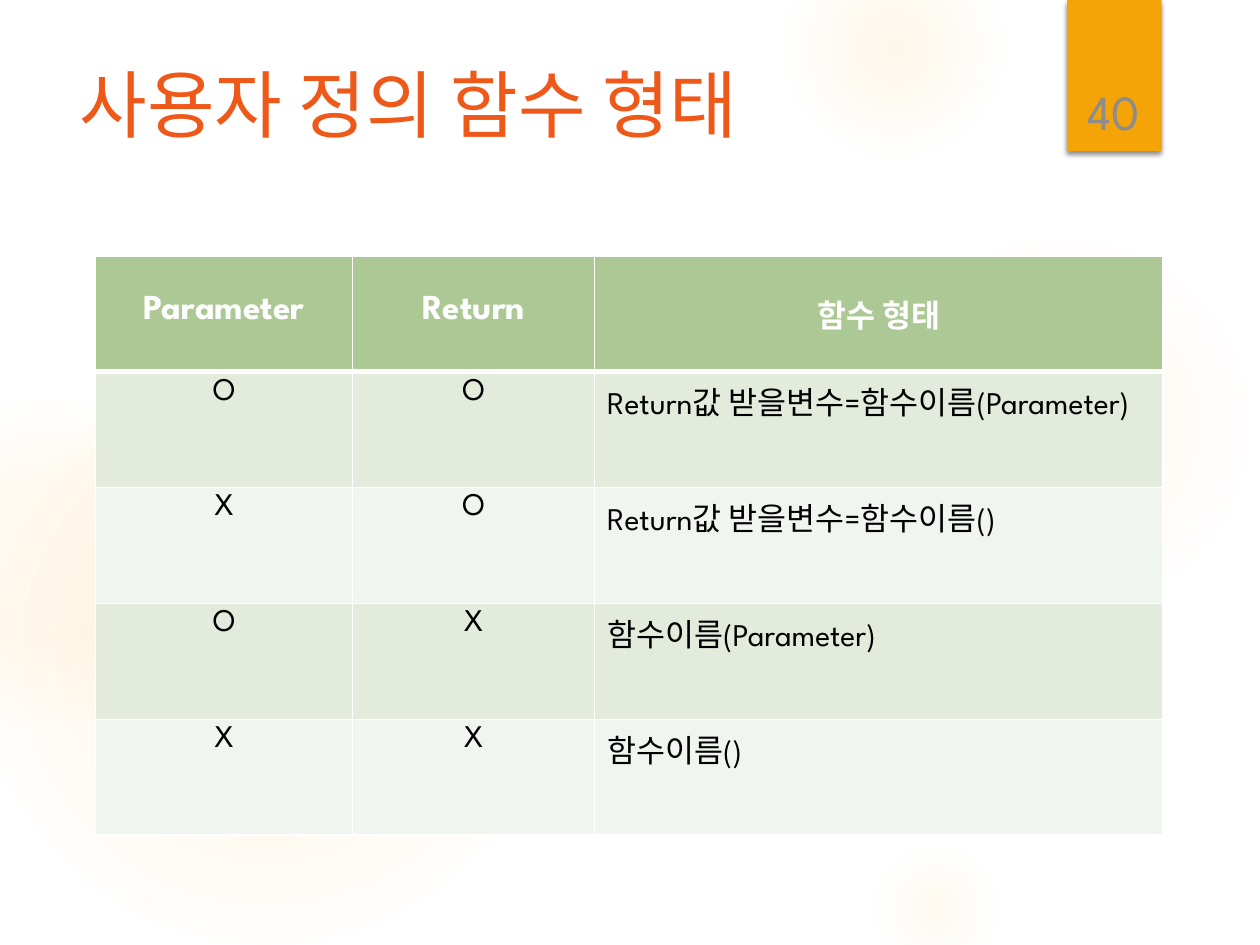
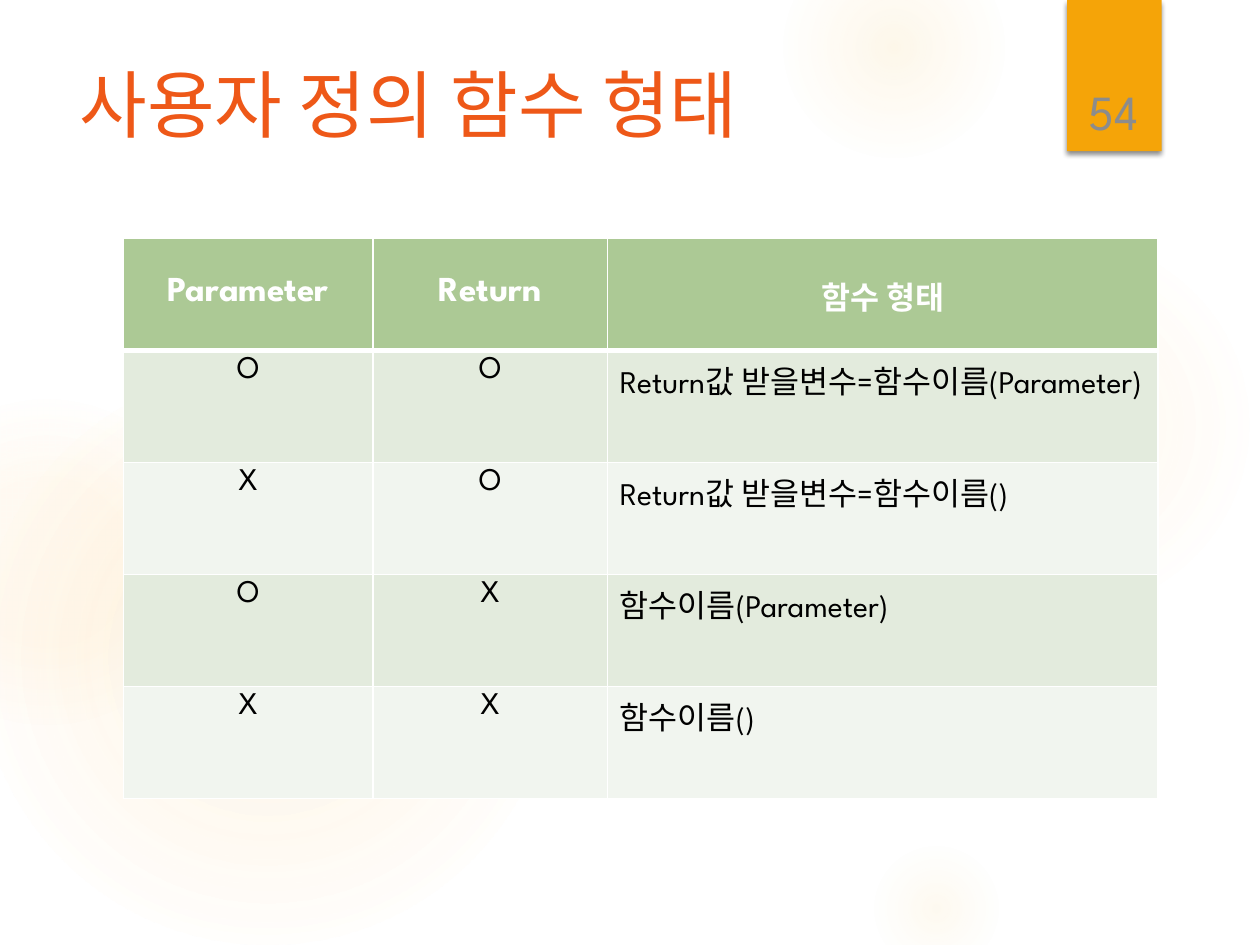
"""Builds two slides that tabulate the forms of user-defined functions."""
import dataclasses

import lxml.etree
import pptx
import pptx.dml.color
import pptx.enum.shapes
import pptx.enum.text
import pptx.oxml
import pptx.oxml.ns
import pptx.util

Inches = pptx.util.Inches
Pt = pptx.util.Pt
qn = pptx.oxml.ns.qn
Shapes = pptx.enum.shapes.MSO_SHAPE
Align = pptx.enum.text.PP_ALIGN
Anchor = pptx.enum.text.MSO_ANCHOR


@dataclasses.dataclass(frozen=True)
class Theme:
    latin: str = "League Spartan"
    korean: str = "Noto Sans CJK KR"
    white: str = "FFFFFF"
    black: str = "000000"
    title: str = "EE5818"
    ribbon: str = "F5A408"
    glow: str = "FAC96A"
    number: str = "8C8C8C"
    header: str = "ACC995"
    bands: tuple = ("E3EBDD", "F1F5EF")
    title_size: int = 42
    number_size: int = 28
    header_size: int = 20
    body_size: int = 18


THEME = Theme()
TITLE = "사용자 정의 함수 형태"
HEADERS = ("Parameter", "Return", "함수 형태")
FORMS = [
    ("O", "O", "Return값 받을변수=함수이름(Parameter)"),
    ("X", "O", "Return값 받을변수=함수이름()"),
    ("O", "X", "함수이름(Parameter)"),
    ("X", "X", "함수이름()"),
]
SLIDES = [
    {"number": "40", "left": 0.76, "top": 2.03, "columns": (2.04, 1.92, 4.51), "row": 0.92},
    {"number": "54", "left": 0.98, "top": 1.89, "columns": (1.98, 1.86, 4.37), "row": 0.89},
]
GLOWS = [
    (6.89, 1.83, 3.08, ((0, 7), (36, 6), (69, 0))),
    (6.22, -0.5, 1.75, ((0, 14), (36, 7), (73, 0))),
    (6.89, 6.67, 1.08, ((0, 10), (31, 5), (66, 0))),
    (-0.17, 2.92, 4.58, ((0, 11), (36, 10), (75, 0))),
    (-0.92, 3.17, 2.58, ((0, 8), (36, 8), (72, 0))),
]
NAMESPACE = pptx.oxml.ns.nsdecls("a")


def rgb(color):
    return pptx.dml.color.RGBColor.from_string(color)


def format_text(paragraph, size, color, latin=THEME.latin, bold=False):
    for run in paragraph.runs:
        run.font.size = Pt(size)
        run.font.bold = bold
        run.font.name = latin
        run.font.color.rgb = rgb(color)
        east_asian = lxml.etree.Element(qn("a:ea"), typeface=THEME.korean)
        run.font._element.find(qn("a:latin")).addnext(east_asian)


def add_plain_shape(slide, kind, left, top, width, height, color):
    shape = slide.shapes.add_shape(kind, Inches(left), Inches(top), Inches(width), Inches(height))
    shape.shadow.inherit = False
    shape.fill.solid()
    shape.fill.fore_color.rgb = rgb(color)
    shape.line.fill.background()
    return shape


def add_glow(slide, left, top, size, stops):
    shape = add_plain_shape(slide, Shapes.OVAL, left, top, size, size, THEME.glow)
    stop_xml = "".join(
        f'<a:gs pos="{position * 1000}"><a:srgbClr val="{THEME.glow}">'
        f'<a:alpha val="{alpha * 1000}"/></a:srgbClr></a:gs>'
        for position, alpha in stops
    )
    gradient = pptx.oxml.parse_xml(
        f'<a:gradFill {NAMESPACE} rotWithShape="1"><a:gsLst>{stop_xml}</a:gsLst>'
        '<a:path path="circle"><a:fillToRect l="50000" t="50000" r="50000" b="50000"/>'
        '</a:path></a:gradFill>'
    )
    properties = shape._element.spPr
    properties.replace(properties.find(qn("a:solidFill")), gradient)
    return shape


def add_ribbon(slide):
    ribbon = add_plain_shape(slide, Shapes.RECTANGLE, 8.47, 0, 0.75, 1.2, THEME.ribbon)
    shadow = pptx.oxml.parse_xml(
        f'<a:outerShdw {NAMESPACE} blurRad="{Pt(3)}" dist="{Pt(2)}" dir="5400000" rotWithShape="0">'
        f'<a:srgbClr val="{THEME.black}"><a:alpha val="45000"/></a:srgbClr></a:outerShdw>'
    )
    ribbon._element.spPr.find(qn("a:effectLst")).append(shadow)
    return ribbon


def move_backdrop_to_layout(slide, layout):
    backdrop = [add_glow(slide, *glow) for glow in GLOWS] + [add_ribbon(slide)]
    for index, shape in enumerate(backdrop):
        shape._element.nvSpPr.cNvPr.set("id", str(100 + index))
        layout.shapes._spTree.insert(2 + index, shape._element)


def set_title(slide):
    title = slide.shapes.title
    title.left, title.top, title.width, title.height = map(Inches, (0.53, 0.5, 7.72, 1.53))
    frame = title.text_frame
    frame.text = TITLE
    frame.vertical_anchor = Anchor.TOP
    paragraph = frame.paragraphs[0]
    paragraph.alignment = Align.LEFT
    paragraph.line_spacing = 0.9
    format_text(paragraph, THEME.title_size, THEME.title, THEME.korean)


def add_number(slide, number):
    box = slide.shapes.add_textbox(Inches(8.49), Inches(0.32), Inches(0.69), Inches(0.84))
    frame = box.text_frame
    frame.word_wrap = True
    frame.vertical_anchor = Anchor.BOTTOM
    frame.text = number
    frame.paragraphs[0].alignment = Align.CENTER
    format_text(frame.paragraphs[0], THEME.number_size, THEME.number)


def set_borders(cell, widths):
    properties = cell._tc.get_or_add_tcPr()
    for index, (side, width) in enumerate(widths.items()):
        border = pptx.oxml.parse_xml(
            f'<a:ln{side} {NAMESPACE} w="{Pt(width)}"><a:solidFill>'
            f'<a:srgbClr val="{THEME.white}"/></a:solidFill></a:ln{side}>'
        )
        properties.insert(index, border)


def fill_cell(cell, text, row, column):
    is_header = row == 0
    is_form = column == len(HEADERS) - 1
    size = THEME.header_size if is_header and not is_form else THEME.body_size
    cell.text = text
    cell.fill.solid()
    cell.fill.fore_color.rgb = rgb(THEME.header if is_header else THEME.bands[(row - 1) % 2])
    if is_header:
        cell.margin_top = Inches(0.28 if is_form else 0.31)
    paragraph = cell.text_frame.paragraphs[0]
    paragraph.alignment = Align.LEFT if is_form and not is_header else Align.CENTER
    format_text(paragraph, size, THEME.white if is_header else THEME.black, bold=is_header)
    set_borders(cell, {"L": 1, "R": 1, "T": 3 if row == 1 else 1, "B": 3 if is_header else 1})


def add_forms_table(slide, left, top, columns, row_height):
    rows = [HEADERS, *FORMS]
    frame = slide.shapes.add_table(
        len(rows), len(columns), Inches(left), Inches(top),
        Inches(sum(columns)), Inches(row_height * len(rows)),
    )
    table = frame.table
    table.first_row = table.horz_banding = False
    for column, width in zip(table.columns, columns):
        column.width = Inches(width)
    for row, texts in enumerate(rows):
        table.rows[row].height = Inches(row_height)
        for column, text in enumerate(texts):
            fill_cell(table.cell(row, column), text, row, column)


def main():
    presentation = pptx.Presentation()
    presentation.slide_width, presentation.slide_height = Inches(10), Inches(7.5)
    layout = presentation.slide_layouts.get_by_name("Title Only")
    for index, content in enumerate(SLIDES):
        slide = presentation.slides.add_slide(layout)
        if index == 0:
            move_backdrop_to_layout(slide, layout)
        set_title(slide)
        add_forms_table(slide, content["left"], content["top"], content["columns"], content["row"])
        add_number(slide, content["number"])
    presentation.save("out.pptx")


if __name__ == "__main__":
    main()
